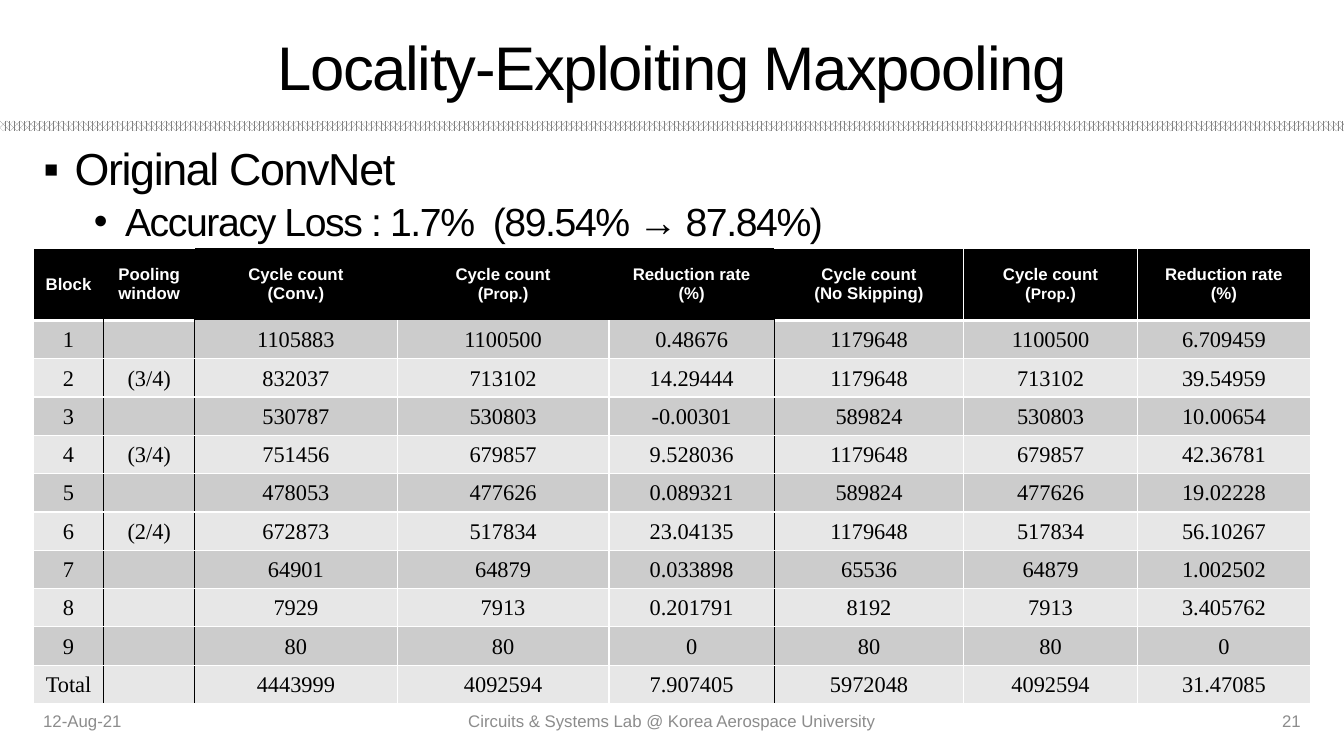
from dataclasses import dataclass

from lxml import etree
from pptx import Presentation
from pptx import util as u
from pptx.dml.color import RGBColor
from pptx.enum import dml, shapes, text
from pptx.oxml.ns import qn


@dataclass(frozen=True)
class Theme:
    sans: str = "Arial"
    serif: str = "Times New Roman"
    black: str = "000000"
    white: str = "FFFFFF"
    grey: str = "808080"
    footer: str = "8C8C8C"
    bands: tuple = ("E7E7E7", "CCCCCC")
    title_size: int = 44
    list_sizes: tuple = (32, 28)
    cell_size: int = 16
    header_size: int = 12
    small_size: int = 11
    footer_size: int = 12
    tracking: int = -100


THEME = Theme()
WIDTH, HEIGHT = 13.33, 7.5
MARGIN = 0.33
CONTENT = WIDTH - 2 * MARGIN
FOOTER_TOP, FOOTER_HEIGHT = 6.95, 0.4

BULLETS = [(0, "▪", 0.31, 10, "Original ConvNet"),
           (1, "•", 0.81, 5, "Accuracy Loss : 1.7%  (89.54% → 87.84%)")]

COLUMNS = [0.7, 0.9, 2.01, 2.1, 1.64, 1.88, 1.72, 1.72]
HEADER_HEIGHT, ROW_HEIGHT = 0.72, 0.38
HEADERS = ["Block", "Pooling window", "Cycle count\n(Conv.)", "Cycle count\n(Prop.)",
           "Reduction rate\n(%)", "Cycle count\n(No Skipping)", "Cycle count\n(Prop.)",
           "Reduction rate\n(%)"]
# block, window, conventional, proposed, reduction, no skipping, reduction
RESULTS = [
    ("1", "", "1105883", "1100500", "0.48676", "1179648", "6.709459"),
    ("2", "(3/4)", "832037", "713102", "14.29444", "1179648", "39.54959"),
    ("3", "", "530787", "530803", "-0.00301", "589824", "10.00654"),
    ("4", "(3/4)", "751456", "679857", "9.528036", "1179648", "42.36781"),
    ("5", "", "478053", "477626", "0.089321", "589824", "19.02228"),
    ("6", "(2/4)", "672873", "517834", "23.04135", "1179648", "56.10267"),
    ("7", "", "64901", "64879", "0.033898", "65536", "1.002502"),
    ("8", "", "7929", "7913", "0.201791", "8192", "3.405762"),
    ("9", "", "80", "80", "0", "80", "0"),
    ("Total", "", "4443999", "4092594", "7.907405", "5972048", "31.47085"),
]


def place(sp, left, top, width, height):
    sp.left, sp.top, sp.width, sp.height = map(u.Inches, (left, top, width, height))


def style(r, size, color, font=THEME.sans, bold=False, tracking=None):
    r.font.size, r.font.name, r.font.bold = u.Pt(size), font, bold
    r.font.color.rgb = RGBColor.from_string(color)
    if tracking:
        r.font._element.set("spc", str(tracking))


def add_divider(slide):
    sp = slide.shapes.add_shape(shapes.MSO_SHAPE.RECTANGLE, 0, u.Inches(1.2),
                                u.Inches(WIDTH), u.Inches(0.1))
    sp.shadow.inherit = False
    sp.line.fill.background()
    sp.fill.patterned()
    sp.fill.pattern = dml.MSO_PATTERN.PERCENT_70
    sp.fill.fore_color.rgb = RGBColor.from_string(THEME.grey)
    sp.fill.back_color.rgb = RGBColor.from_string(THEME.white)


def set_title(sp, words):
    place(sp, MARGIN, 0.22, CONTENT, 0.87)
    tf = sp.text_frame
    tf.text = words
    tf.auto_size = text.MSO_AUTO_SIZE.NONE
    tf.vertical_anchor = text.MSO_ANCHOR.MIDDLE
    p = tf.paragraphs[0]
    p.alignment = text.PP_ALIGN.CENTER
    style(p.runs[0], THEME.title_size, THEME.black, tracking=THEME.tracking)


def set_bullets(sp):
    place(sp, MARGIN, 1.41, CONTENT, 5.35)
    tf = sp.text_frame
    tf.text = "\n".join(words for *_, words in BULLETS)
    tf.auto_size = text.MSO_AUTO_SIZE.NONE
    tf.vertical_anchor = text.MSO_ANCHOR.TOP
    for p, (level, mark, indent, before, _) in zip(tf.paragraphs, BULLETS):
        p.level, p.line_spacing = level, 0.9
        p.space_before, p.space_after = u.Pt(before), u.Pt(0)
        pPr = p._p.get_or_add_pPr()
        pPr.set("marL", str(u.Inches(indent)))
        pPr.set("indent", str(-u.Inches(0.31)))
        etree.SubElement(pPr, qn("a:buFont"), typeface=THEME.sans)
        etree.SubElement(pPr, qn("a:buChar"), char=mark)
        style(p.runs[0], THEME.list_sizes[level], THEME.black, tracking=THEME.tracking)


def add_footer(slide, words, left, width, align):
    sp = slide.shapes.add_textbox(0, 0, 0, 0)
    place(sp, left, FOOTER_TOP, width, FOOTER_HEIGHT)
    tf = sp.text_frame
    tf.word_wrap = True
    tf.vertical_anchor = text.MSO_ANCHOR.MIDDLE
    tf.text = words
    p = tf.paragraphs[0]
    p.alignment = align
    style(p.runs[0], THEME.footer_size, THEME.footer)


def upright_rule(row, edge):
    """Colour and width of the line left of column number edge, or None."""
    if row == 0:
        return None if 0 < edge < 6 else (THEME.white, 1)
    return (THEME.black if edge in (1, 2, 5) else THEME.white), 1


def level_rule(edge, col):
    """Colour and width of the line above row number edge, or None."""
    if edge < 2 and 2 <= col <= 4:
        return None
    return THEME.white, 3 if edge == 1 else 1


def set_borders(cell, row, col):
    rules = {"a:lnL": upright_rule(row, col), "a:lnR": upright_rule(row, col + 1),
             "a:lnT": level_rule(row, col), "a:lnB": level_rule(row + 1, col)}
    tcPr = cell._tc.get_or_add_tcPr()
    for i, (tag, rule) in enumerate(rules.items()):
        ln = etree.Element(qn(tag))
        tcPr.insert(i, ln)
        if rule is None:
            etree.SubElement(ln, qn("a:noFill"))
            continue
        color, width = rule
        ln.set("w", str(u.Pt(width)))
        fill = etree.SubElement(ln, qn("a:solidFill"))
        etree.SubElement(fill, qn("a:srgbClr"), val=color)


def write_header(cell, words):
    for i, line in enumerate(words.split("\n")):
        tf = cell.text_frame
        p = tf.add_paragraph() if i else tf.paragraphs[0]
        p.alignment = text.PP_ALIGN.CENTER
        for part in filter(None, line.partition("Prop.")):
            r = p.add_run()
            r.text = part
            size = THEME.small_size if part == "Prop." else THEME.header_size
            style(r, size, THEME.white, bold=True)


def write_result(cell, words):
    cell.margin_left = cell.margin_right = cell.margin_top = u.Inches(0.01)
    cell.margin_bottom = 0
    p = cell.text_frame.paragraphs[0]
    p.alignment = text.PP_ALIGN.CENTER
    if words:
        p.text = words
        style(p.runs[0], THEME.cell_size, THEME.black, THEME.serif)


def add_results(slide):
    rows = [HEADERS] + [[*r[:6], r[3], r[6]] for r in RESULTS]
    frame = slide.shapes.add_table(len(rows), len(COLUMNS), 0, 0, 0, 0)
    place(frame, MARGIN, 2.46, CONTENT, HEADER_HEIGHT + ROW_HEIGHT * len(RESULTS))
    table = frame.table
    table.horz_banding = False
    for column, width in zip(table.columns, COLUMNS):
        column.width = u.Inches(width)
    for i, row in enumerate(rows):
        table.rows[i].height = u.Inches(ROW_HEIGHT if i else HEADER_HEIGHT)
        for j, words in enumerate(row):
            cell = table.cell(i, j)
            cell.vertical_anchor = text.MSO_ANCHOR.MIDDLE
            cell.fill.solid()
            color = THEME.bands[i % 2] if i else THEME.black
            cell.fill.fore_color.rgb = RGBColor.from_string(color)
            (write_result if i else write_header)(cell, words)
            set_borders(cell, i, j)


def main():
    prs = Presentation()
    prs.slide_width, prs.slide_height = u.Inches(WIDTH), u.Inches(HEIGHT)
    slide = prs.slides.add_slide(prs.slide_layouts[1])
    add_divider(slide)
    set_title(slide.shapes.title, "Locality-Exploiting Maxpooling")
    set_bullets(slide.placeholders[1])
    align = text.PP_ALIGN
    add_footer(slide, "12-Aug-21", MARGIN, 3, align.LEFT)
    add_footer(slide, "Circuits & Systems Lab @ Korea Aerospace University",
               (WIDTH - 4.5) / 2, 4.5, align.CENTER)
    add_footer(slide, "21", WIDTH - MARGIN - 3, 3, align.RIGHT)
    add_results(slide)
    prs.save("out.pptx")


if __name__ == "__main__":
    main()
